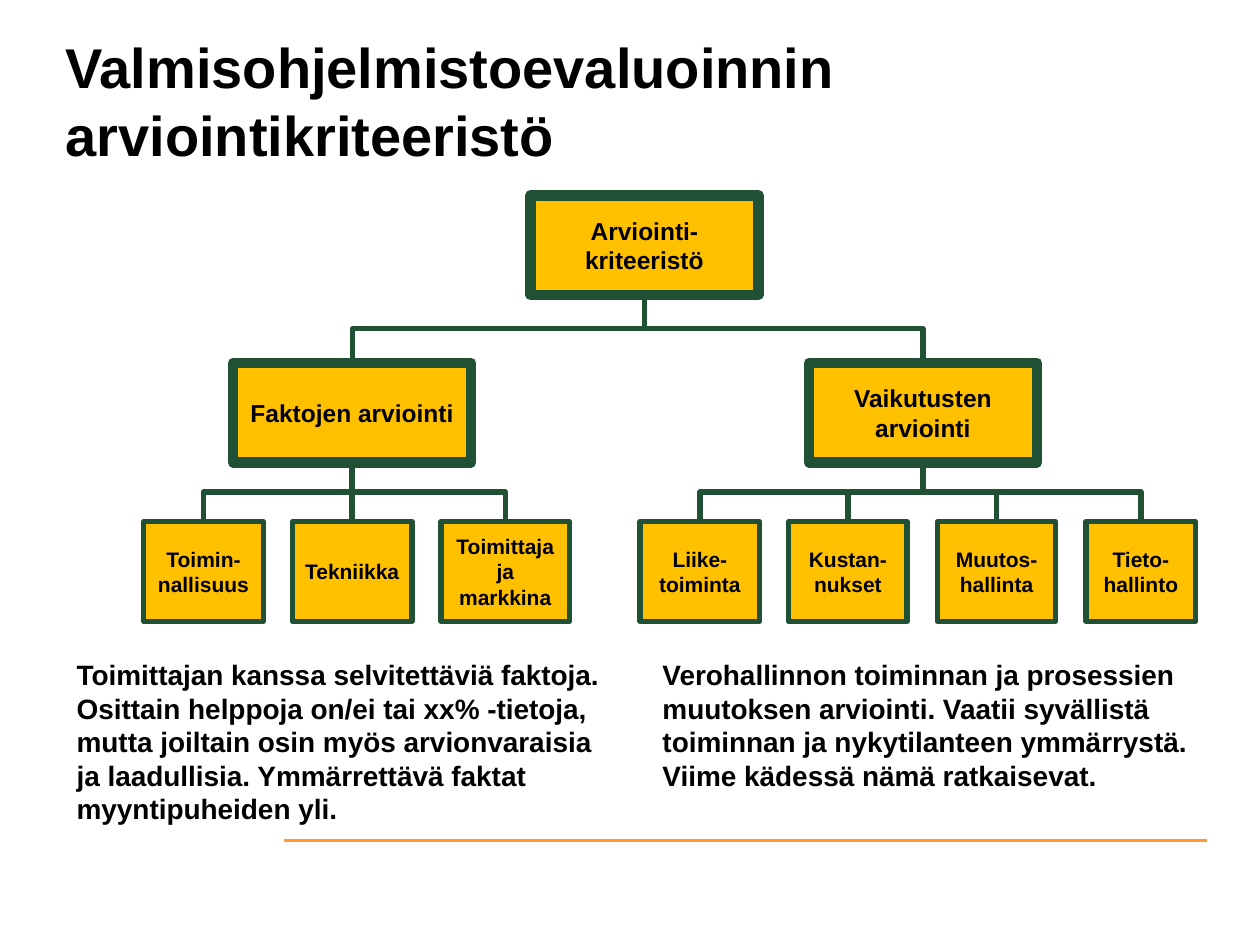
from pptx import Presentation
from pptx.dml.color import RGBColor
from pptx.enum.shapes import MSO_CONNECTOR as CONN, MSO_SHAPE as SHAPE
from pptx.enum.text import MSO_ANCHOR as ANCHOR, PP_ALIGN as ALIGN
from pptx.oxml.ns import qn
from pptx.util import Inches, Pt
from lxml.etree import SubElement

COLORS = {"box": "FFC000", "border": "215134", "text": "000000", "rule": "FF9933"}
BOX_H = 0.79
BOX_INSET = 0.09
TOP_Y, BRANCH_Y, LEAF_Y = 1.55, 2.88, 4.14

# Each branch: text, left, width, leaves; each leaf: text, left, width
ROOT = ("Arviointi-kriteeristö", 4.21, 1.81)
BRANCHES = [
    ("Faktojen arviointi", 1.85, 1.89, [
        ("Toimin-nallisuus", 1.14, 0.95),
        ("Tekniikka", 2.32, 0.95),
        ("Toimittaja ja markkina", 3.5, 1.02)]),
    ("Vaikutusten arviointi", 6.42, 1.81, [
        ("Liike-toiminta", 5.08, 0.95),
        ("Kustan-nukset", 6.26, 0.94),
        ("Muutos-hallinta", 7.44, 0.94),
        ("Tieto-hallinto", 8.62, 0.87)]),
]
NOTES = [
    ("Toimittajan kanssa selvitettäviä faktoja. Osittain helppoja on/ei tai xx% "
     "-tietoja, mutta joiltain osin myös arvionvaraisia ja laadullisia. "
     "Ymmärrettävä faktat myyntipuheiden yli.", (0.51, 5.17, 4.41, 1.45)),
    ("Verohallinnon toiminnan ja prosessien muutoksen arviointi. Vaatii syvällistä "
     "toiminnan ja nykytilanteen ymmärrystä. Viime kädessä nämä ratkaisevat.",
     (5.16, 5.17, 4.57, 1.18)),
]


def rgb(name):
    """Return the named colour."""
    return RGBColor.from_string(COLORS[name])


def write(sp, text, size, align=ALIGN.LEFT, anchor=ANCHOR.TOP):
    """Put bold Arial text into a shape."""
    tf = sp.text_frame
    tf.word_wrap = True
    tf.vertical_anchor = anchor
    p = tf.paragraphs[0]
    p.alignment = align
    r = p.add_run()
    r.text = text
    for key, value in {"name": "Arial", "size": Pt(size), "bold": True}.items():
        setattr(r.font, key, value)
    r.font.color.rgb = rgb("text")


def style_line(line, color, width):
    """Set the colour and width of a line."""
    line.color.rgb = rgb(color)
    line.width = Pt(width)


def add_title(s, text, box):
    """Place and fill the title placeholder."""
    sp = s.shapes.title
    for key, value in zip(("left", "top", "width", "height"), box):
        setattr(sp, key, Inches(value))
    write(sp, text, 32, anchor=ANCHOR.MIDDLE)


def add_node(s, text, x, y, w, size, border):
    """Add one box of the tree."""
    sp = s.shapes.add_shape(SHAPE.RECTANGLE, *map(Inches, (x, y, w, BOX_H)))
    sp.shadow.inherit = False
    sp.fill.solid()
    sp.fill.fore_color.rgb = rgb("box")
    style_line(sp.line, "border", border)
    write(sp, text, size, ALIGN.CENTER, ANCHOR.MIDDLE)
    for side in ("margin_left", "margin_right"):
        setattr(sp.text_frame, side, Inches(BOX_INSET))
    return sp


def add_line(s, kind, ends, color, width):
    """Add a connector without shadow."""
    cn = s.shapes.add_connector(kind, *ends)
    style_line(cn.line, color, width)
    SubElement(cn._element.spPr, qn("a:effectLst"))
    return cn


def link(s, parent, child):
    """Join a parent's bottom to a child's top with a turned elbow."""
    x1, y1 = parent.left + parent.width // 2, parent.top + parent.height
    x2, y2 = child.left + child.width // 2, child.top
    cn = add_line(s, CONN.ELBOW, (x1, y1, x2, y2), "border", 3)
    cn.begin_connect(parent, 2)
    cn.end_connect(child, 0)
    drop, run = y2 - y1, abs(x2 - x1)
    cn.left, cn.top = (x1 + x2 - drop) // 2, (y1 + y2 - run) // 2
    cn.width, cn.height = drop, run
    leftward = x2 < x1
    xfrm = cn._element.spPr.find(qn("a:xfrm"))
    xfrm.set("rot", str((90 if leftward else 270) * 60000))
    xfrm.set("flipH", "0" if leftward else "1")
    xfrm.set("flipV", "0")


def add_tree(s):
    """Draw the criteria tree with its links."""
    text, x, w = ROOT
    root = add_node(s, text, x, TOP_Y, w, 14, 6)
    for text, x, w, leaves in BRANCHES:
        branch = add_node(s, text, x, BRANCH_Y, w, 14, 6)
        link(s, root, branch)
        for leaf_text, leaf_x, leaf_w in leaves:
            link(s, branch, add_node(s, leaf_text, leaf_x, LEAF_Y, leaf_w, 12, 3))


def add_note(s, text, box):
    """Add an explanation below a branch."""
    write(s.shapes.add_textbox(*map(Inches, box)), text, 16)


prs = Presentation()
prs.slide_width, prs.slide_height = Inches(10), Inches(7.5)
s = prs.slides.add_slide(prs.slide_layouts[5])
add_line(s, CONN.STRAIGHT, map(Inches, (2.25, 6.67, 9.58, 6.67)), "rule", 1.5)
add_title(s, "Valmisohjelmistoevaluoinnin arviointikriteeristö", (0.42, 0.17, 8.5, 1.25))
add_tree(s)
for text, box in NOTES:
    add_note(s, text, box)
prs.save("out.pptx")
